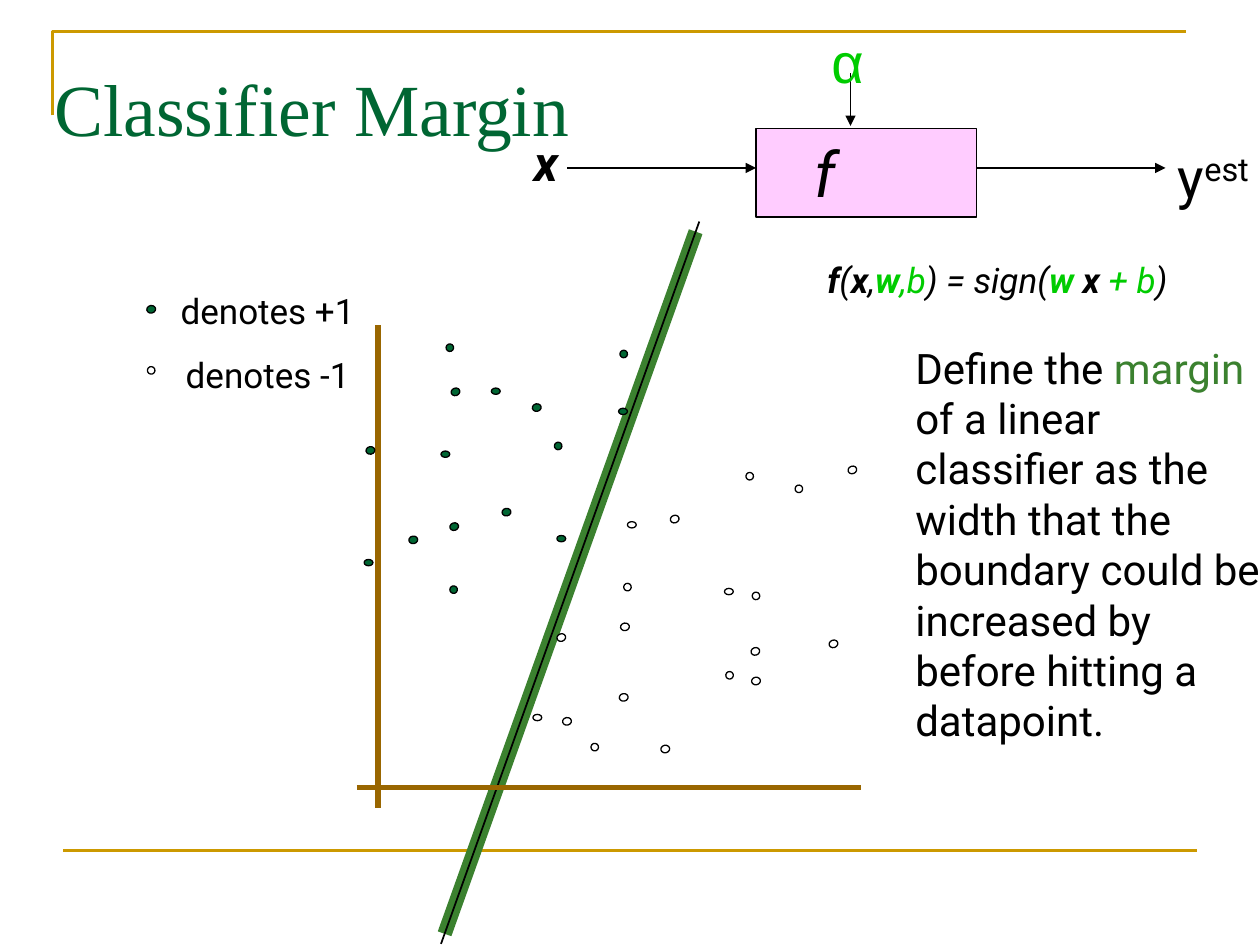
from dataclasses import dataclass

from lxml import etree
from pptx import Presentation
from pptx import util as u
from pptx.dml.color import RGBColor
from pptx.enum import shapes, text
from pptx.oxml.ns import qn

COLUMNS, ROWS = 120, 90  # square cells, twelve to the inch
DOT_STEP = 0.12  # data points sit on a finer grid, a hundred steps to the inch


@dataclass(frozen=True)
class Theme:
    black: str = "000000"
    frame: str = "CC9900"
    axis: str = "996600"
    positive: str = "006633"
    negative: str = "FFFFFF"
    margin: str = "3B812F"
    parameter: str = "00CC00"
    function: str = "FFCCFF"
    body: str = "Roboto"
    heading: str = "Times New Roman"
    symbol: str = "Arial"
    label_size: int = 20
    definition_size: int = 24
    input_size: int = 28
    output_size: int = 32
    function_size: int = 36
    title_size: int = 42
    dot_line: float = 0.75
    thin_line: float = 1
    frame_line: float = 1.5
    axis_line: float = 3
    margin_line: float = 8.25


THEME = Theme()
Point = tuple[float, float]


@dataclass(frozen=True)
class Area:
    column: float
    row: float
    columns: float
    rows: float


@dataclass(frozen=True)
class Run:
    words: str
    size: int = THEME.label_size
    color: str = THEME.black
    bold: bool = False
    italic: bool = False
    font: str = THEME.body
    baseline: int = 0


@dataclass(frozen=True)
class DotStyle:
    """Tilt in degrees, size in dot steps."""
    tilt: float
    width: int
    height: int


@dataclass(frozen=True)
class DotGroup:
    """Points of one class and style, given by top left corners in dot steps."""
    color: str
    style: DotStyle
    corners: tuple[tuple[int, int], ...]


FLAT = DotStyle(0, 7, 5)
LEANING = DotStyle(341.4, 7, 6)
TURNED = DotStyle(98.2, 6, 6)
UPRIGHT = DotStyle(79.6, 6, 7)

LEGEND_DOTS = (
    DotGroup(THEME.positive, UPRIGHT, ((117, 242),)),
    DotGroup(THEME.negative, TURNED, ((117, 291),)),
)
DATA_DOTS = (
    DotGroup(THEME.positive, FLAT, ((289, 444), (491, 324), (390, 308), (442, 425), (350, 358))),
    DotGroup(THEME.negative, FLAT, ((423, 567), (498, 414), (575, 467))),
    DotGroup(THEME.positive, LEANING, ((358, 308), (357, 415))),
    DotGroup(THEME.negative, LEANING, ((442, 503), (673, 370), (596, 514), (532, 409), (658, 508))),
    DotGroup(THEME.positive, TURNED, ((440, 351), (357, 465), (492, 278), (354, 273))),
    DotGroup(THEME.negative, TURNED, ((469, 590), (597, 470), (495, 463), (631, 385),
                                      (592, 375), (576, 533))),
    DotGroup(THEME.positive, UPRIGHT, ((399, 403), (325, 425), (423, 320), (291, 354))),
    DotGroup(THEME.negative, UPRIGHT, ((525, 591), (492, 550), (493, 494), (447, 569), (597, 537))),
)

presentation = Presentation()
presentation.slide_width, presentation.slide_height = u.Inches(10), u.Inches(7.5)
slide = presentation.slides.add_slide(presentation.slide_layouts[6])


def x(columns: float) -> int:
    return round(presentation.slide_width * columns / COLUMNS)


def y(rows: float) -> int:
    return round(presentation.slide_height * rows / ROWS)


def place(area: Area) -> tuple[int, int, int, int]:
    return x(area.column), y(area.row), x(area.columns), y(area.rows)


def set_line(line, color: str, width: float) -> None:
    line.color.rgb = RGBColor.from_string(color)
    line.width = u.Pt(width)


def write(frame, *paragraphs: list[Run], align=text.PP_ALIGN.CENTER,
          anchor=text.MSO_ANCHOR.TOP, gap: float = 0) -> None:
    """Fill a text frame, with a gap in points between its paragraphs."""
    frame.word_wrap = True
    frame.vertical_anchor = anchor
    for index, runs in enumerate(paragraphs):
        paragraph = frame.add_paragraph() if index else frame.paragraphs[0]
        paragraph.alignment = align
        if index:
            paragraph.space_before = u.Pt(gap)
        for item in runs:
            run = paragraph.add_run()
            run.text = item.words
            run.font.name, run.font.size = item.font, u.Pt(item.size)
            run.font.bold, run.font.italic = item.bold, item.italic
            run.font.color.rgb = RGBColor.from_string(item.color)
            if item.baseline:
                run._r.get_or_add_rPr().set("baseline", str(item.baseline * 1000))


def add_text(area: Area, *paragraphs: list[Run], **layout) -> None:
    write(slide.shapes.add_textbox(*place(area)).text_frame, *paragraphs, **layout)


def add_line(start: Point, end: Point, color: str = THEME.black,
             width: float = THEME.thin_line, arrow: bool = False) -> None:
    connector = slide.shapes.add_connector(
        shapes.MSO_CONNECTOR.STRAIGHT, x(start[0]), y(start[1]), x(end[0]), y(end[1]))
    set_line(connector.line, color, width)
    if arrow:
        etree.SubElement(connector.line._get_or_add_ln(), qn("a:tailEnd"), type="triangle")
    etree.SubElement(connector._element.spPr, qn("a:effectLst"))


def add_shape(kind, area: Area, fill: str, width: float):
    shape = slide.shapes.add_shape(kind, *place(area))
    shape.shadow.inherit = False
    shape.fill.solid()
    shape.fill.fore_color.rgb = RGBColor.from_string(fill)
    set_line(shape.line, THEME.black, width)
    return shape


def add_dots(groups: tuple[DotGroup, ...]) -> None:
    for group in groups:
        style = group.style
        for corner in group.corners:
            area = Area(*(steps * DOT_STEP for steps in (*corner, style.width, style.height)))
            dot = add_shape(shapes.MSO_SHAPE.OVAL, area, group.color, THEME.dot_line)
            dot.rotation = style.tilt


def draw_frame() -> None:
    left, top, right = 5, 3, 113
    builder = slide.shapes.build_freeform(x(left), y(11))
    builder.add_line_segments([(x(left), y(top)), (x(right), y(top))], close=False)
    corner = builder.convert_to_shape()
    corner.shadow.inherit = False
    corner.fill.background()
    set_line(corner.line, THEME.frame, THEME.frame_line)
    add_line((6, 81), (114, 81), THEME.frame, THEME.frame_line)


def draw_title() -> None:
    title = Run("Classifier Margin", THEME.title_size, THEME.positive, font=THEME.heading)
    add_text(Area(4, 6, 61, 9), [title],
             align=text.PP_ALIGN.LEFT, anchor=text.MSO_ANCHOR.BOTTOM)


def draw_boundary() -> None:
    """Draw the decision boundary over a wide margin that stops just short of its ends."""
    (x1, y1), (x2, y2) = bottom, top = (42, 89.9), (66.6, 21.1)
    inset_x, inset_y = ((x2 - x1) * 0.014, (y2 - y1) * 0.014)
    add_line((x1 + inset_x, y1 + inset_y), (x2 - inset_x, y2 - inset_y),
             THEME.margin, THEME.margin_line)
    add_line(bottom, top)


def draw_function_diagram() -> None:
    box = Area(72, 12.25, 21, 8.4)
    box_right, flow_row, parameter_column, arrow_length = box.column + box.columns, 16, 81, 18
    frame = add_shape(shapes.MSO_SHAPE.RECTANGLE, box, THEME.function, THEME.thin_line).text_frame
    frame.margin_right = x(9)  # moves the centred letter to the left
    write(frame, [Run("f", THEME.function_size, italic=True)], anchor=text.MSO_ANCHOR.MIDDLE)

    add_line((box.column - arrow_length, flow_row), (box.column, flow_row), arrow=True)
    add_line((parameter_column, 7), (parameter_column, 12), arrow=True)
    add_line((box_right, flow_row), (box_right + arrow_length, flow_row), arrow=True)

    add_text(Area(48, 12, 8, 6.8), [Run("x", THEME.input_size, bold=True, italic=True)])
    add_text(Area(78, 2, 5, 7.7),
             [Run("α", THEME.output_size, THEME.parameter, font=THEME.symbol)])
    add_text(Area(box_right + arrow_length, 13, 11, 7.7),
             [Run("y", THEME.output_size), Run("est", THEME.output_size, baseline=30)],
             align=text.PP_ALIGN.LEFT)


def draw_plot() -> None:
    add_text(Area(13, 27, 25, 11.3), [Run("denotes +1")], [Run("denotes -1")], gap=12.5)
    add_dots(LEGEND_DOTS)
    axis_column, axis_row = 36, 75
    add_line((axis_column, 31), (axis_column, 77), THEME.axis, THEME.axis_line)
    add_line((34, axis_row), (82, axis_row), THEME.axis, THEME.axis_line)
    add_dots(DATA_DOTS)


def draw_formula() -> None:
    """Write the classifier with bold vectors and coloured parameters."""
    def plain(words: str, color: str = THEME.black) -> Run:
        return Run(words, color=color, italic=True)

    def vector(words: str, color: str = THEME.black) -> Run:
        return Run(words, color=color, bold=True, italic=True)

    add_text(Area(74, 24, 42, 5.3), [
        vector("f"), plain("("), vector("x"), plain(","), vector("w", THEME.parameter),
        plain(",b", THEME.parameter), plain(") = sign("), vector("w", THEME.parameter),
        vector(" x"), plain(" + b", THEME.parameter), plain(")")])


def draw_definition() -> None:
    size = THEME.definition_size
    add_text(Area(86, 32, 36, 39.6), [
        Run("Define the ", size), Run("margin", size, THEME.margin),
        Run(" of a linear classifier as the width that the boundary could be "
            "increased by before hitting a datapoint.", size)], align=text.PP_ALIGN.LEFT)


def main() -> None:
    for draw in (draw_frame, draw_boundary, draw_title, draw_function_diagram,
                 draw_plot, draw_formula, draw_definition):
        draw()
    presentation.save("out.pptx")


if __name__ == "__main__":
    main()
